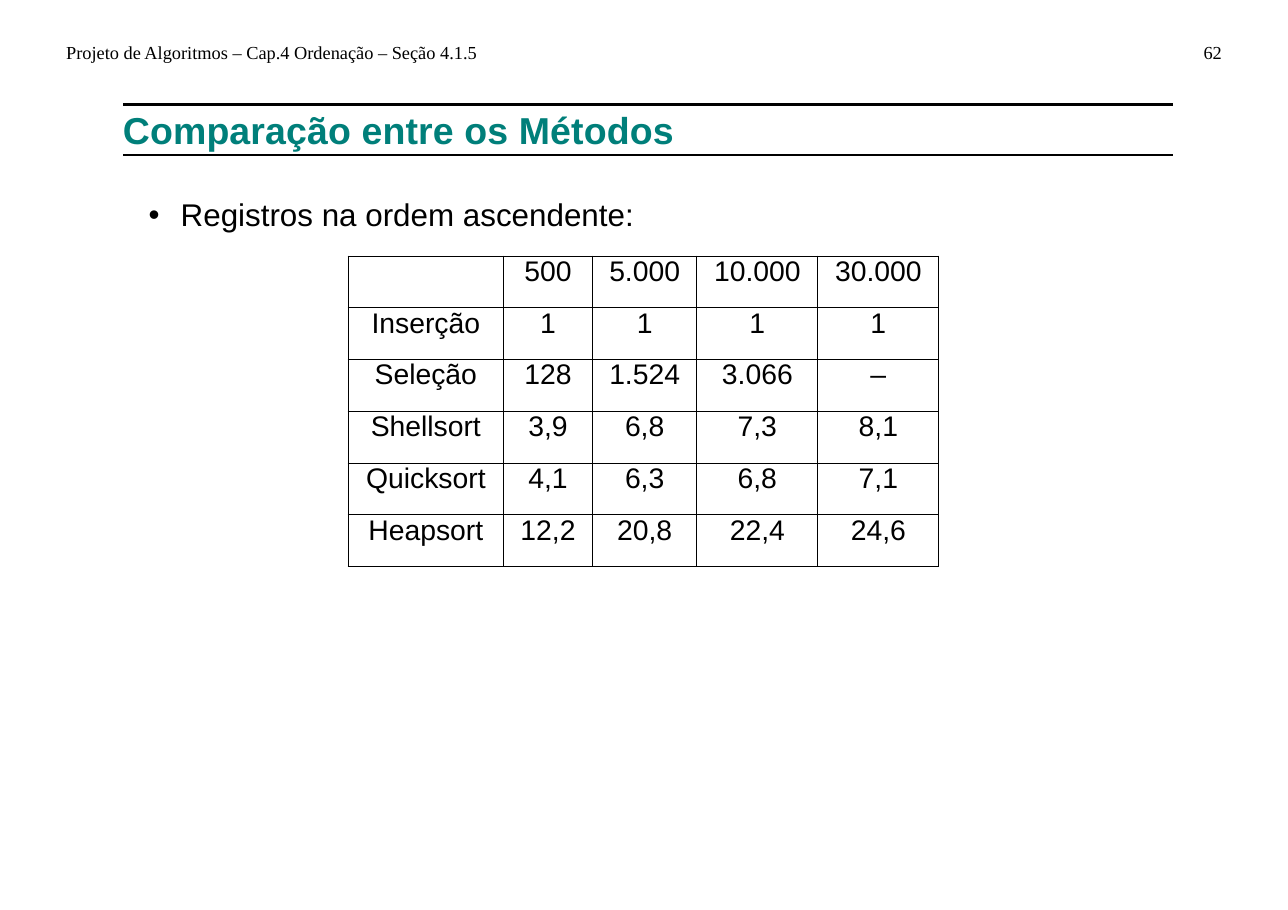
from lxml import etree
from pptx import Presentation
from pptx.dml.color import RGBColor
from pptx.enum.shapes import MSO_CONNECTOR
from pptx.enum.text import MSO_ANCHOR, PP_ALIGN
from pptx.oxml.ns import qn
from pptx.util import Pt

STRAIGHT = MSO_CONNECTOR.STRAIGHT
TOP = MSO_ANCHOR.TOP
LEFT, CENTER, RIGHT = PP_ALIGN.LEFT, PP_ALIGN.CENTER, PP_ALIGN.RIGHT
MARGINS = ("margin_left", "margin_top", "margin_right", "margin_bottom")

HEADER = {"name": "Times New Roman", "size": Pt(12), "color": "000000"}
TITLE = {"name": "Arial", "size": Pt(24.5), "bold": True, "color": "007F7A"}
BODY = {"name": "Arial", "size": Pt(20.5), "color": "000000"}
CELL = {"name": "Arial", "size": Pt(18.5), "color": "000000"}


def rgb(value):
    return RGBColor.from_string(value)


def write(holder, frame, text, style, align=LEFT):
    """Fill a text box or table cell with one line, without margins."""
    for margin in MARGINS:
        setattr(holder, margin, 0)
    holder.vertical_anchor = TOP
    para = frame.paragraphs[0]
    para.alignment = align
    span = para.add_run()
    span.text = text
    for key, value in style.items():
        if key == "color":
            span.font.color.rgb = rgb(value)
        else:
            setattr(span.font, key, value)
    return para


deck = Presentation()
deck.slide_width, deck.slide_height = Pt(841.68), Pt(594.72)
page = deck.slides.add_slide(deck.slide_layouts[6])

# Page header, title and bullet line
paras = []
for text, left, top, width, height, style, align in (
    ("Projeto de Algoritmos – Cap.4 Ordenação – Seção 4.1.5", 43.2, 26.9, 320, 15, HEADER, LEFT),
    ("62", 768, 26.9, 30.5, 15, HEADER, RIGHT),
    ("Comparação entre os Métodos", 80.3, 70, 686, 29, TITLE, LEFT),
    ("Registros na ordem ascendente:", 97.2, 127.8, 500, 24, BODY, LEFT),
):
    box = page.shapes.add_textbox(Pt(left), Pt(top), Pt(width), Pt(height))
    frame = box.text_frame
    frame.word_wrap = True
    paras.append(write(frame, frame, text, style, align))

# Slight letter spacing in the title, bullet on the body line
title_para, bullet_para = paras[2:]
title_para.runs[0].font._element.set("spc", "12")
bullet = bullet_para._p.get_or_add_pPr()
bullet.set("marL", str(Pt(20.9)))
bullet.set("indent", str(-Pt(20.9)))
etree.SubElement(bullet, qn("a:buFont")).set("typeface", "Arial")
etree.SubElement(bullet, qn("a:buChar")).set("char", "•")

# Rules above and below the title
for y in (68.5, 101.4):
    rule = page.shapes.add_connector(STRAIGHT, Pt(80.6), Pt(y), Pt(766.8), Pt(y))
    rule.line.color.rgb = rgb("000000")
    rule.line.width = Pt(1.73)
    etree.SubElement(rule._element.spPr, qn("a:effectLst"))

# Comparison table
rows = (
    ("", "500", "5.000", "10.000", "30.000"),
    ("Inserção", "1", "1", "1", "1"),
    ("Seleção", "128", "1.524", "3.066", "–"),
    ("Shellsort", "3,9", "6,8", "7,3", "8,1"),
    ("Quicksort", "4,1", "6,3", "6,8", "7,1"),
    ("Heapsort", "12,2", "20,8", "22,4", "24,6"),
)
column_widths = (101.5, 58.2, 68.2, 79.1, 79.1)
row_height = 33.84
table = page.shapes.add_table(
    len(rows), len(column_widths), Pt(227.5), Pt(167.3),
    Pt(sum(column_widths)), Pt(row_height * len(rows)),
).table
table.first_row = table.horz_banding = False
for column, width in zip(table.columns, column_widths):
    column.width = Pt(width)

for row_index, values in enumerate(rows):
    table.rows[row_index].height = Pt(row_height)
    for column_index, value in enumerate(values):
        cell = table.cell(row_index, column_index)
        if value:
            write(cell, cell.text_frame, value, CELL, CENTER)
        properties = cell._tc.get_or_add_tcPr()
        for side in ("a:lnL", "a:lnR", "a:lnT", "a:lnB"):
            border = etree.SubElement(properties, qn(side))
            border.set("w", str(Pt(0.69)))
            fill = etree.SubElement(border, qn("a:solidFill"))
            etree.SubElement(fill, qn("a:srgbClr")).set("val", "000000")
        cell.fill.background()

deck.save("out.pptx")
